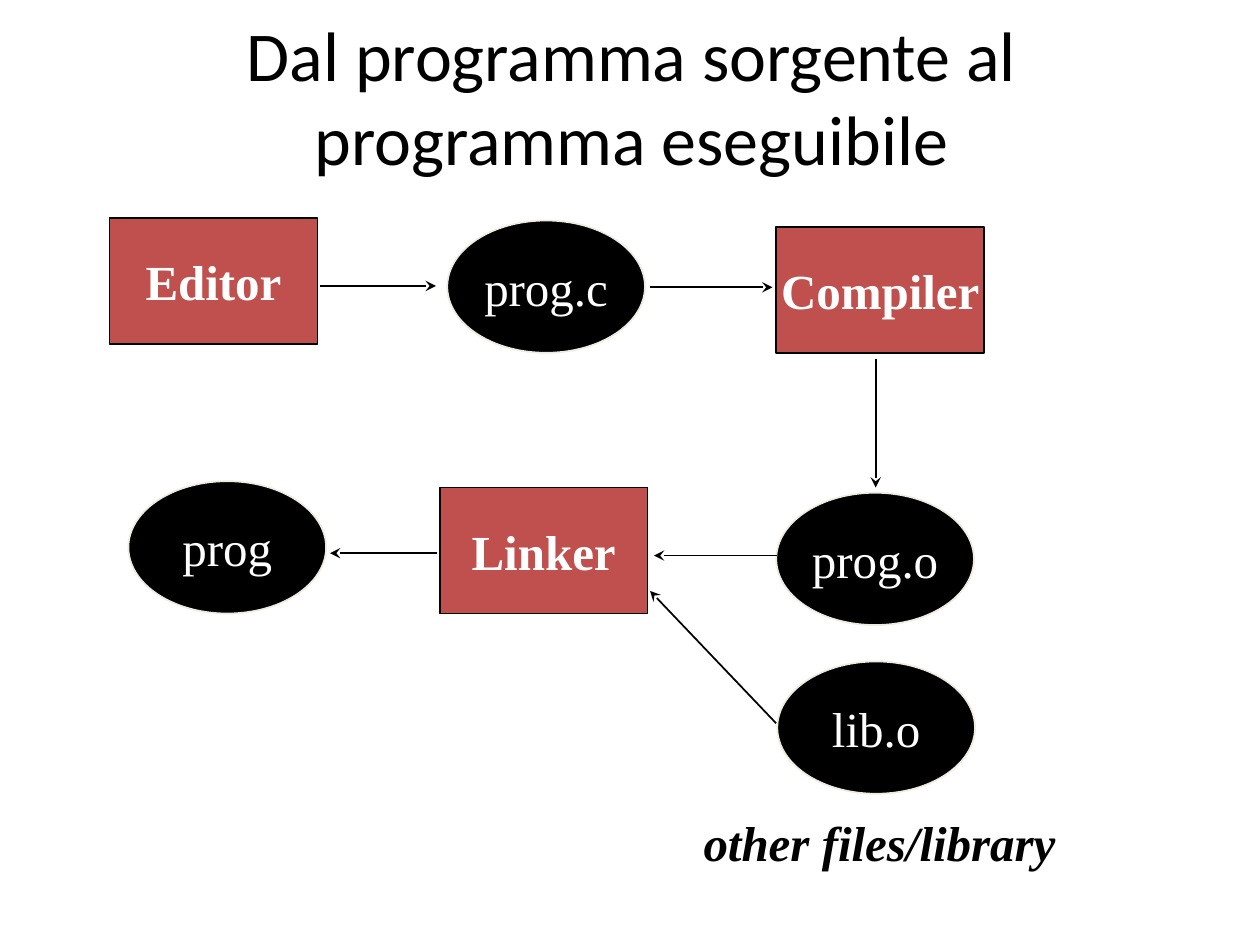
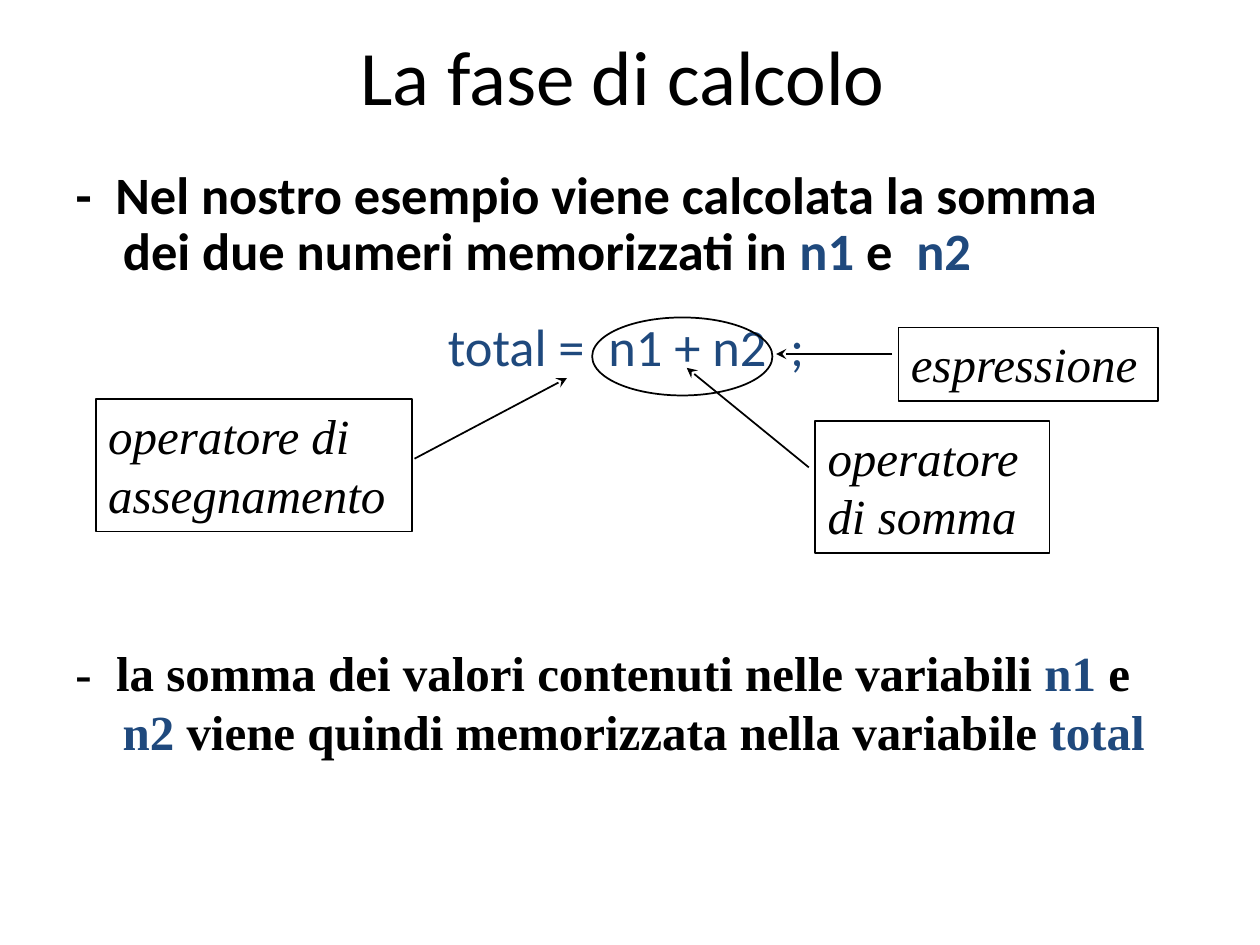
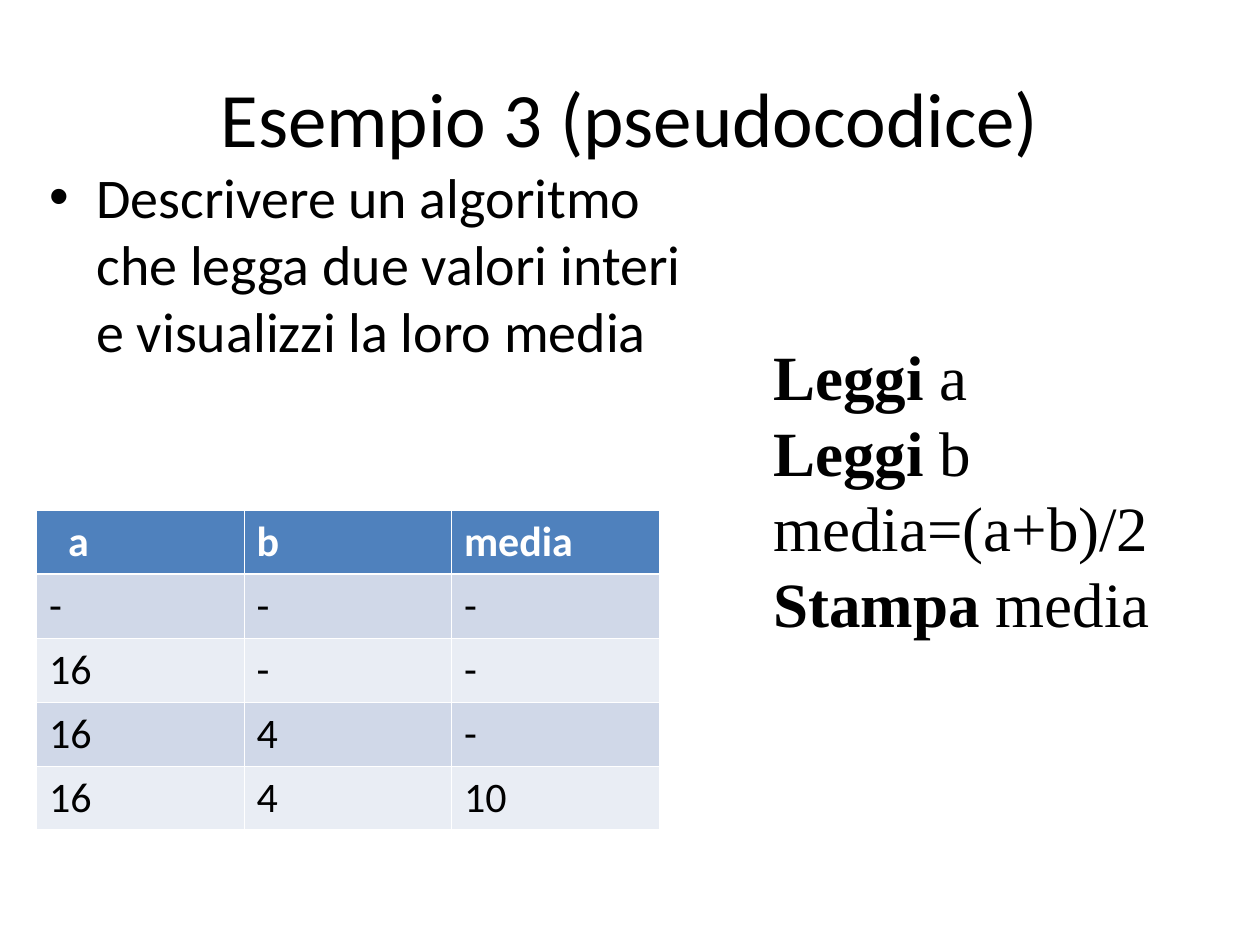
from lxml import etree
from pptx import Presentation
from pptx.dml.color import RGBColor
from pptx.enum.shapes import MSO_CONNECTOR, MSO_SHAPE
from pptx.enum.text import MSO_ANCHOR, MSO_AUTO_SIZE, PP_ALIGN
from pptx.oxml.ns import qn
from pptx.util import Pt

BLACK = RGBColor(0x00, 0x00, 0x00)
WHITE = RGBColor(0xFF, 0xFF, 0xFF)
TOOL_RED = RGBColor(0xC0, 0x50, 0x4D)
FILE_EDGE = RGBColor(0xEE, 0xEC, 0xE1)
VARIABLE_BLUE = RGBColor(0x1F, 0x49, 0x7D)
HEADER_BLUE = RGBColor(0x4F, 0x81, 0xBD)
ROW_BANDS = (RGBColor(0xE9, 0xED, 0xF4), RGBColor(0xD0, 0xD8, 0xE8))

SANS, SERIF = "Calibri", "Times New Roman"
TITLE_ONLY, TITLE_AND_BODY = 5, 1
HANGING = 27
TOOL_SIZE, FILE_SIZE = (118.8, 72), (113, 75.6)


def points(lengths):
    return [Pt(length) for length in lengths]


def write(frame, *runs, font=SERIF, size=28, color=BLACK, bold=False, italic=False,
          align=PP_ALIGN.LEFT, before=0, spacing=None, hanging=0, bullet=None):
    """Add one paragraph; a run is a text or a (text, {"color" or "bold": value}) pair."""
    paragraph = frame.paragraphs[-1]
    if paragraph.runs:
        paragraph = frame.add_paragraph()
    paragraph.alignment = align
    paragraph.space_before = Pt(before)
    if spacing:
        paragraph.line_spacing = spacing
    properties = paragraph._p.get_or_add_pPr()
    properties.set("marL", str(Pt(hanging)))
    properties.set("indent", str(Pt(-hanging)))
    if bullet:
        etree.SubElement(properties, qn("a:buChar"), char=bullet)
    else:
        etree.SubElement(properties, qn("a:buNone"))
    for item in runs:
        text, own = (item, {}) if isinstance(item, str) else item
        run = paragraph.add_run()
        run.text = text
        run.font.name, run.font.size = font, Pt(size)
        run.font.bold, run.font.italic = own.get("bold", bold), italic
        run.font.color.rgb = own.get("color", color)


def place(placeholder, box):
    placeholder.left, placeholder.top, placeholder.width, placeholder.height = points(box)
    frame = placeholder.text_frame
    frame.word_wrap = True
    frame.auto_size = MSO_AUTO_SIZE.NONE
    return frame


def add_titled_slide(deck, layout, title, box, size=44):
    slide = deck.slides.add_slide(deck.slide_layouts[layout])
    frame = place(slide.shapes.title, box)
    frame.vertical_anchor = MSO_ANCHOR.MIDDLE
    write(frame, title, font=SANS, size=size, align=PP_ALIGN.CENTER)
    return slide


def add_text_box(slide, box, wrap=True):
    frame = slide.shapes.add_textbox(*points(box)).text_frame
    frame.word_wrap = wrap
    return frame


def add_outline(slide, kind, box, fill=None, edge=BLACK):
    shape = slide.shapes.add_shape(kind, *points(box))
    shape.shadow.inherit = False
    if fill is None:
        shape.fill.background()
    else:
        shape.fill.solid()
        shape.fill.fore_color.rgb = fill
    shape.line.color.rgb = edge
    shape.line.width = Pt(1)
    return shape.text_frame


def add_arrow(slide, origin, x1, y1, x2, y2):
    left, top = origin
    ends = points((left + x1, top + y1, left + x2, top + y2))
    arrow = slide.shapes.add_connector(MSO_CONNECTOR.STRAIGHT, *ends)
    arrow.line.color.rgb = BLACK
    arrow.line.width = Pt(1)
    properties = arrow.element.spPr
    etree.SubElement(properties.find(qn("a:ln")), qn("a:tailEnd"), type="stealth")
    etree.SubElement(properties, qn("a:effectLst"))


def add_node(slide, label, left, top, is_tool):
    """Draw a tool as a red box or a file as a black ellipse."""
    if is_tool:
        frame = add_outline(slide, MSO_SHAPE.RECTANGLE, (left, top, *TOOL_SIZE), TOOL_RED)
    else:
        frame = add_outline(slide, MSO_SHAPE.OVAL, (left, top, *FILE_SIZE), BLACK, FILE_EDGE)
    frame.word_wrap = False
    frame.vertical_anchor = MSO_ANCHOR.MIDDLE
    write(frame, label, color=WHITE, bold=is_tool, align=PP_ALIGN.CENTER)


def add_build_flow(slide, origin):
    left, top = origin
    tools = (("Editor", 0, 0), ("Compiler", 381, 5), ("Linker", 188.7, 154))
    files = (("prog.c", 193, 1.4), ("prog.o", 381, 157),
             ("lib.o", 381.6, 253.4), ("prog", 10.8, 150.4))
    for nodes, is_tool in ((tools, True), (files, False)):
        for label, x, y in nodes:
            add_node(slide, label, left + x, top + y, is_tool)
    for ends in ((120.3, 38.8, 186.5, 38.8), (308.9, 39.6, 378.8, 39.6),
                 (437.8, 80.6, 437.8, 154), (381.6, 192.9, 311.1, 192.9),
                 (380.9, 288.7, 308.9, 213.1), (187.2, 191.5, 126, 191.5)):
        add_arrow(slide, origin, *ends)
    caption = add_text_box(slide, (left + 332, top + 336.2, 216, 41), wrap=False)
    write(caption, "other files/library", bold=True, italic=True, align=PP_ALIGN.CENTER)


def add_formula_callouts(slide, origin):
    left, top = origin
    callouts = (
        ("operatore di somma", (411.1, 59.1, 134, 75.6), (407.5, 85.7, 337.7, 28.8)),
        ("operatore di assegnamento", (0, 46.8, 180.7, 75.6), (182.2, 80.7, 269.3, 34.6)),
        ("espressione", (458.7, 5.8, 148.3, 41.8), (455.1, 20.9, 388.8, 20.9)),
    )
    for label, (x, y, width, height), ends in callouts:
        frame = add_outline(slide, MSO_SHAPE.RECTANGLE, (left + x, top + y, width, height))
        frame.word_wrap = True
        frame.vertical_anchor = MSO_ANCHOR.TOP
        write(frame, label, italic=True)
        add_arrow(slide, origin, *ends)
    add_outline(slide, MSO_SHAPE.OVAL, (left + 283.7, top, 103, 44.6))


def add_cell_border(cell, side, width):
    properties = cell._tc.get_or_add_tcPr()
    line = etree.SubElement(properties, qn(f"a:ln{side}"), w=str(Pt(width)))
    fill = etree.SubElement(line, qn("a:solidFill"))
    etree.SubElement(fill, qn("a:srgbClr"), val=str(WHITE))


def add_trace_table(slide, box):
    rows = (("a", "b", "media"), ("-", "-", "-"), ("16", "-", "-"),
            ("16", "4", "-"), ("16", "4", "10"))
    table = slide.shapes.add_table(len(rows), len(rows[0]), *points(box)).table
    for r, values in enumerate(rows):
        is_header = r == 0
        for c, value in enumerate(values):
            cell = table.cell(r, c)
            for side in "LRTB":
                is_header_edge = (r, side) in ((0, "B"), (1, "T"))
                add_cell_border(cell, side, 1.47 if is_header_edge else 0.45)
            cell.fill.solid()
            cell.fill.fore_color.rgb = HEADER_BLUE if is_header else ROW_BANDS[r % 2]
            write(cell.text_frame, value, font=SANS, size=24, bold=is_header,
                  color=WHITE if is_header else BLACK)
    table.cell(0, 0).margin_left = Pt(18)


def add_pseudocode(slide, box):
    frame = add_text_box(slide, box)
    for keyword, rest in (("Leggi", " a"), ("Leggi", " b"),
                          (None, "media=(a+b)/2"), ("Stampa", " media")):
        runs = [(keyword, {"bold": True}), rest] if keyword else [rest]
        write(frame, *runs, size=36)


def build_compilation_slide(deck):
    slide = add_titled_slide(deck, TITLE_ONLY, "Dal programma sorgente al programma eseguibile",
                             (75, -0.7, 571.7, 111), size=40)
    add_build_flow(slide, (62.6, 124.6))


def build_calculation_slide(deck):
    slide = add_titled_slide(deck, TITLE_AND_BODY, "La fase di calcolo",
                             (166.3, 10.8, 379.4, 63.4))
    n1, n2, n2_spaced, total = [(name, {"color": VARIABLE_BLUE})
                                for name in ("n1", "n2", "n2 ", "total")]
    body = place(slide.placeholders[1], (36, 92.9, 643.7, 132.5))
    style = dict(font=SANS, size=30, spacing=0.9, hanging=HANGING)
    write(body, "-  Nel nostro esempio viene calcolata la somma dei due numeri memorizzati in ",
          n1, " e  ", n2, bold=True, before=7.5, **style)
    write(body, "total =  n1 + n2  ;", color=VARIABLE_BLUE, align=PP_ALIGN.CENTER,
          before=22.4, **style)
    result = add_text_box(slide, (36, 363.6, 643.7, 74.9))
    write(result, "-  la somma dei valori contenuti nelle variabili ", n1, " e  ", n2_spaced,
          "viene quindi memorizzata nella variabile ", total,
          bold=True, before=7, hanging=HANGING)
    add_formula_callouts(slide, (54.7, 181.4))


def build_pseudocode_slide(deck):
    slide = add_titled_slide(deck, TITLE_AND_BODY, "Esempio 3 (pseudocodice)",
                             (36, 21.6, 648, 90))
    body = place(slide.placeholders[1], (20.9, 89.3, 385.9, 134.6))
    write(body, "Descrivere un algoritmo che legga due valori interi e visualizzi la loro media",
          font=SANS, size=32, before=8, hanging=HANGING, bullet="•")
    add_trace_table(slide, (20.9, 291.6, 355.7, 180))
    add_pseudocode(slide, (434.9, 189.4, 285, 180))


def main():
    deck = Presentation()
    deck.slide_width, deck.slide_height = Pt(720), Pt(540)
    build_compilation_slide(deck)
    build_calculation_slide(deck)
    build_pseudocode_slide(deck)
    deck.save("out.pptx")


if __name__ == "__main__":
    main()
